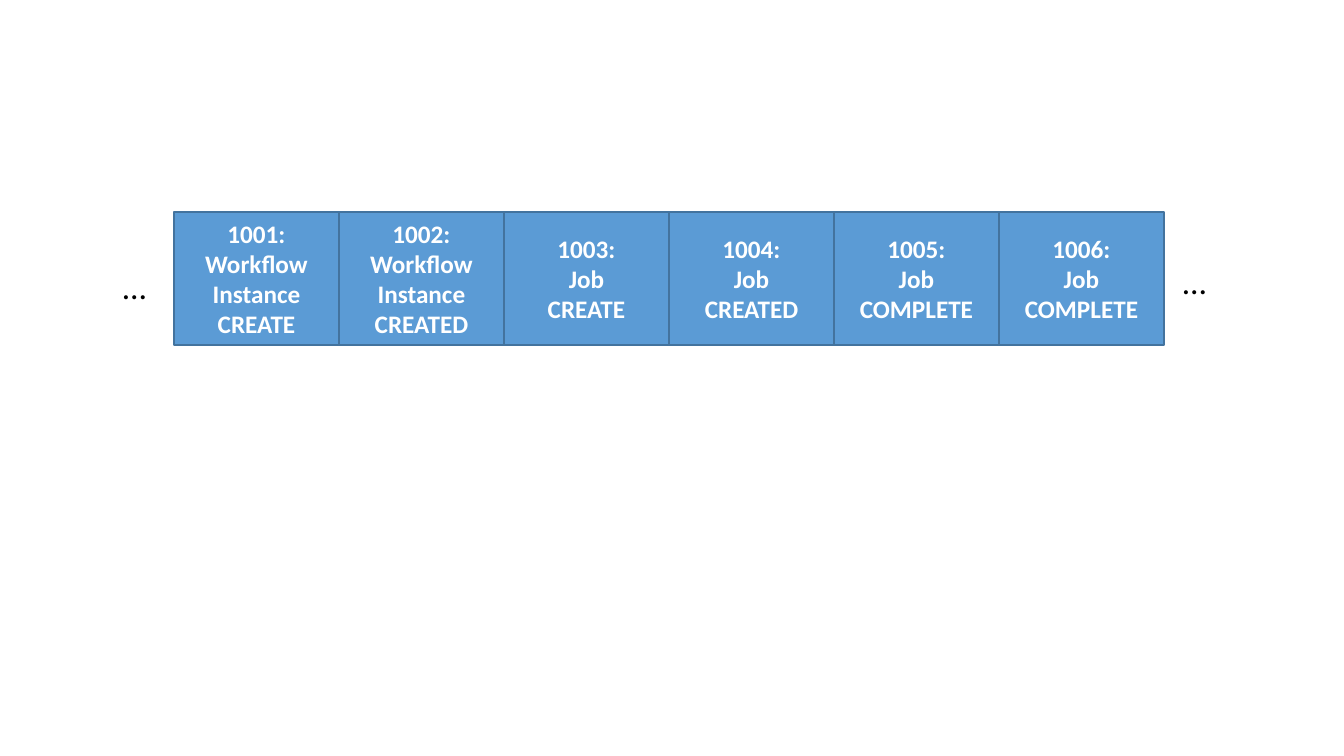
from pptx import Presentation
from pptx.dml.color import RGBColor
from pptx.enum.shapes import MSO_SHAPE
from pptx.enum.text import MSO_ANCHOR, MSO_AUTO_SIZE, PP_ALIGN
from pptx.util import Emu, Pt

SLIDE_WIDTH, SLIDE_HEIGHT = 1344, 756
EMU_PER_PIXEL = 12192000 / SLIDE_WIDTH


def pixels(*lengths):
    """Turn pixel lengths into EMU."""
    return [Emu(round(length * EMU_PER_PIXEL)) for length in lengths]


def color(hex_code):
    """Turn a hex string into a colour."""
    return RGBColor.from_string(hex_code)


class SlideBuilder:
    """Holds the style and the current slide."""

    font_name = "Calibri"
    record_fill, record_line, record_text = "5B9BD5", "43739E", "FFFFFF"
    text_color = "000000"

    def __init__(self, slide):
        """Keep the slide to draw on."""
        self.slide = slide

    def set_text(self, text_frame, lines, size, hex_code, bold=False, align=PP_ALIGN.LEFT):
        """Fill a text frame with one paragraph per line."""
        text_frame.text = "\n".join(lines)
        for paragraph in text_frame.paragraphs:
            paragraph.alignment = align
            font = paragraph.font
            font.name, font.size, font.bold = self.font_name, Pt(size), bold
            font.color.rgb = color(hex_code)

    def record(self, left, top, width, height, lines):
        """Draw one log record as a filled box."""
        shape = self.slide.shapes.add_shape(
            MSO_SHAPE.RECTANGLE, *pixels(left, top, width, height))
        shape.shadow.inherit = False
        shape.fill.solid()
        shape.fill.fore_color.rgb = color(self.record_fill)
        shape.line.color.rgb = color(self.record_line)
        shape.line.width = Pt(1)
        shape.text_frame.vertical_anchor = MSO_ANCHOR.MIDDLE
        self.set_text(shape.text_frame, lines, 18, self.record_text, True, PP_ALIGN.CENTER)

    def label(self, left, top, width, height, text):
        """Add a plain text box."""
        text_frame = self.slide.shapes.add_textbox(
            *pixels(left, top, width, height)).text_frame
        text_frame.word_wrap = True
        text_frame.auto_size = MSO_AUTO_SIZE.SHAPE_TO_FIT_TEXT
        self.set_text(text_frame, [text], 24, self.text_color)


FIRST_POSITION = 1001
RECORDS = [
    ("Workflow", "Instance", "CREATE"),
    ("Workflow", "Instance", "CREATED"),
    ("Job", "CREATE"),
    ("Job", "CREATED"),
    ("Job", "COMPLETE"),
    ("Job", "COMPLETE"),
]
LOG_LEFT, LOG_TOP, RECORD_WIDTH, RECORD_HEIGHT = 174, 212, 165, 133

presentation = Presentation()
presentation.slide_width, presentation.slide_height = pixels(SLIDE_WIDTH, SLIDE_HEIGHT)
builder = SlideBuilder(presentation.slides.add_slide(presentation.slide_layouts[6]))

for index, lines in enumerate(RECORDS):
    builder.record(LOG_LEFT + index * RECORD_WIDTH, LOG_TOP, RECORD_WIDTH, RECORD_HEIGHT,
                   [f"{FIRST_POSITION + index}:", *lines])
for left, top in [(113, 261), (1173, 256)]:
    builder.label(left, top, 84, 50, "…")

presentation.save("out.pptx")
